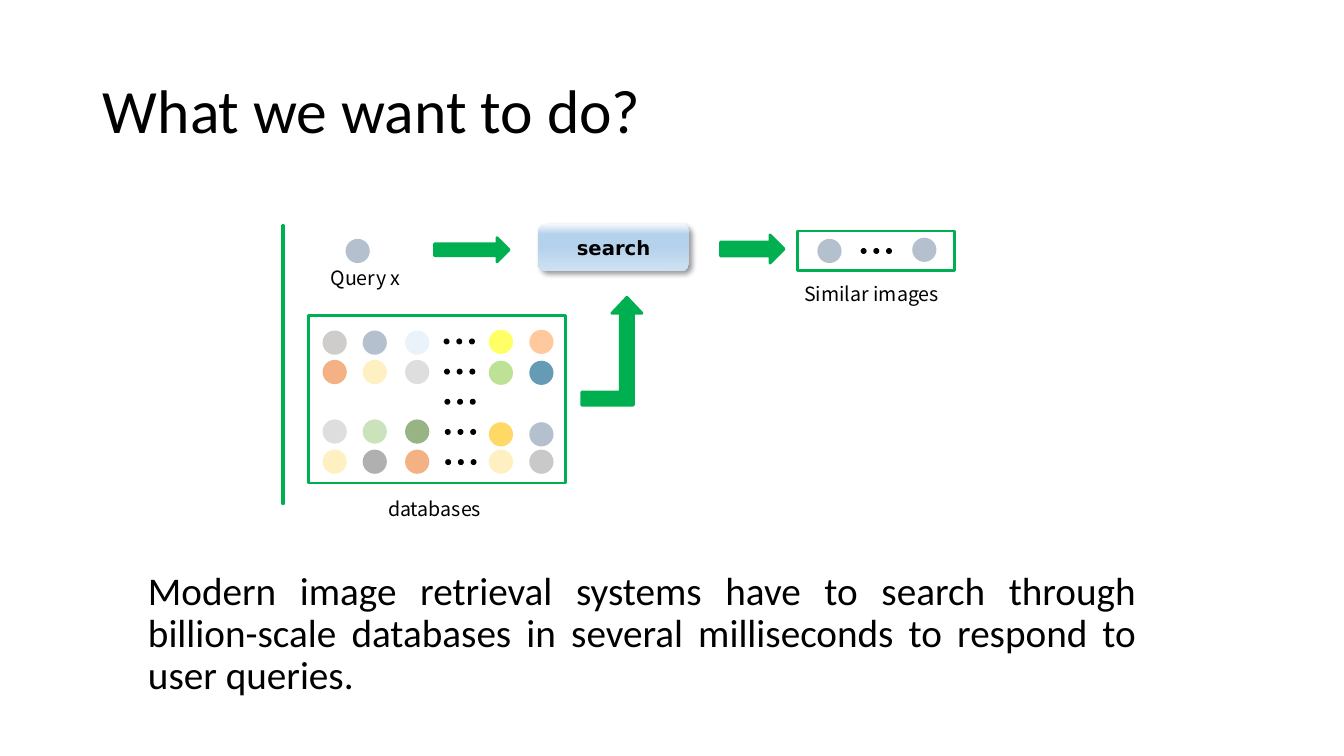
from lxml.etree import SubElement
from pptx import Presentation
from pptx.dml.color import RGBColor
from pptx.enum.shapes import MSO_SHAPE as Preset
from pptx.enum.text import MSO_ANCHOR as Anchor, PP_ALIGN as Align
from pptx.oxml.ns import qn
from pptx.util import Cm, Pt

COLORS = {
    "black": "000000", "white": "FFFFFF", "accent": "00B050",
    "slate": "8497B0", "ash": "AFABAB", "ice": "DEEBF7",
    "silver": "C9C9C9", "sage": "A9D18E", "forest": "548235",
    "cream": "FFE699", "iron": "7C7C7C", "orange": "ED7D31",
    "yellow": "FFFF00", "peach": "FFA65D", "amber": "FFC000",
    "lime": "92D050", "navy": "005986", "gray": "A5A5A5",
}
DOT = 0.61
SPECK = 0.15
SPECK_GAP = 0.32

prs = Presentation()
prs.slide_width, prs.slide_height = Cm(33.87), Cm(19.05)
slide = prs.slides.add_slide(prs.slide_layouts[5])


def add_figure(preset, box, color, opacity=100, outlined=False):
    figure = slide.shapes.add_shape(preset, *map(Cm, box))
    figure.shadow.inherit = False
    figure.fill.solid()
    figure.fill.fore_color.rgb = RGBColor.from_string(COLORS[color])
    if opacity < 100:
        tint = figure.fill._xPr.find(".//" + qn("a:srgbClr"))
        SubElement(tint, qn("a:alpha"), val=str(opacity * 1000))
    if outlined:
        figure.line.color.rgb = RGBColor.from_string(COLORS["accent"])
        figure.line.width = Pt(2)
    else:
        figure.line.fill.background()
    return figure


def write(holder, words, font, size, align=Align.LEFT, bold=False):
    frame = holder.text_frame
    frame.text = words
    frame.word_wrap = True
    paragraph = frame.paragraphs[0]
    paragraph.alignment = align
    style = paragraph.runs[0].font
    style.name, style.size, style.bold = font, Pt(size), bold
    style.color.rgb = RGBColor.from_string(COLORS["black"])
    return paragraph


title = slide.shapes.title
title.left, title.top, title.width, title.height = map(Cm, (2.34, 1.02, 29.21, 3.68))
title.text_frame.vertical_anchor = Anchor.MIDDLE
write(title, "What we want to do?", "Calibri", 44).line_spacing = 0.9

for preset, box in [
    (Preset.RECTANGLE, (7.11, 5.69, 0.05, 7.01)),
    (Preset.RIGHT_ARROW, (10.95, 5.99, 1.88, 0.61)),
    (Preset.RIGHT_ARROW, (18.16, 5.92, 1.6, 0.71)),
]:
    add_figure(preset, box, "accent", outlined=True)

database_arrow = add_figure(Preset.BENT_UP_ARROW, (14.66, 7.49, 1.52, 2.72), "accent", outlined=True)
for index, ratio in enumerate((0.216, 0.25, 0.267)):
    database_arrow.adjustments[index] = ratio

for box in [(7.77, 7.95, 6.48, 4.22), (20.09, 5.82, 3.96, 0.99)]:
    add_figure(Preset.FLOWCHART_PROCESS, box, "white", 60, outlined=True)

database_columns = (8.13, 9.14, 10.21, 12.32, 13.34)
database_rows = [
    (8.33, 8.31, ("ash", "slate", "ice", "yellow", "peach")),
    (9.07, 9.09, ("orange", "cream", "silver", "lime", "navy")),
    (10.57, 10.64, ("silver", "sage", "forest", "amber", "slate")),
    (11.33, 11.33, ("cream", "iron", "orange", "cream", "gray")),
]
dots = [(9.09 - 0.38, 6.02, "slate"), (20.6, 6.02, "slate"), (22.99, 5.99, "slate")]
for left_top, right_top, colors in database_rows:
    for column, (left, color) in enumerate(zip(database_columns, colors)):
        dots.append((left, left_top if column < 3 else right_top, color))
for left, top, color in dots:
    add_figure(Preset.FLOWCHART_CONNECTOR, (left, top, DOT, DOT), color, 60)

ellipses = [(11.18 + 0.01 * row, 8.53 + 0.76 * row) for row in range(5)] + [(21.69, 6.25)]
for left, top in ellipses:
    for step in range(3):
        add_figure(Preset.FLOWCHART_CONNECTOR, (left + step * SPECK_GAP, top, SPECK, SPECK), "black")

search = add_figure(Preset.ROUNDED_RECTANGLE, (13.56, 5.64, 3.81, 1.19), "white")
search.fill.gradient()
search.fill.gradient_angle = 270
stops = search.fill._xPr.find(".//" + qn("a:gsLst"))
for stop in list(stops):
    stops.remove(stop)
for position, color in [(0, "F7FAFD"), (22, "B5D2EC"), (48, "B5D2EC"), (100, "CEE1F2")]:
    stop = SubElement(stops, qn("a:gs"), pos=str(position * 1000))
    SubElement(stop, qn("a:srgbClr"), val=color)
effects = search.fill._xPr.find(qn("a:effectLst"))
shadow = SubElement(effects, qn("a:outerShdw"), blurRad=str(Pt(4)), dist=str(Pt(3)),
                    dir="2700000", algn="tl", rotWithShape="0")
shade = SubElement(shadow, qn("a:srgbClr"), val=COLORS["black"])
SubElement(shade, qn("a:alpha"), val="40000")
search.text_frame.margin_top = search.text_frame.margin_bottom = 0
search.text_frame.vertical_anchor = Anchor.MIDDLE
write(search, "search", "DejaVu Sans", 14, Align.CENTER, bold=True)

for words, box in [
    ("Query x", (8.08, 6.58, 3.12, 0.86)),
    ("databases", (9.53, 12.4, 3.51, 0.86)),
    ("Similar images", (20.02, 6.99, 4.55, 0.86)),
]:
    write(slide.shapes.add_textbox(*map(Cm, box)), words, "Noto Sans CJK SC", 14)

summary = slide.shapes.add_textbox(Cm(3.48), Cm(14.27), Cm(25.4), Cm(3.48))
statement = write(
    summary,
    "Modern image retrieval systems have to search through billion-scale databases "
    "in several milliseconds to respond to user queries.",
    "Calibri", 28, Align.JUSTIFY)
statement.line_spacing = 0.9
statement.space_before = Pt(10)

prs.save("out.pptx")
